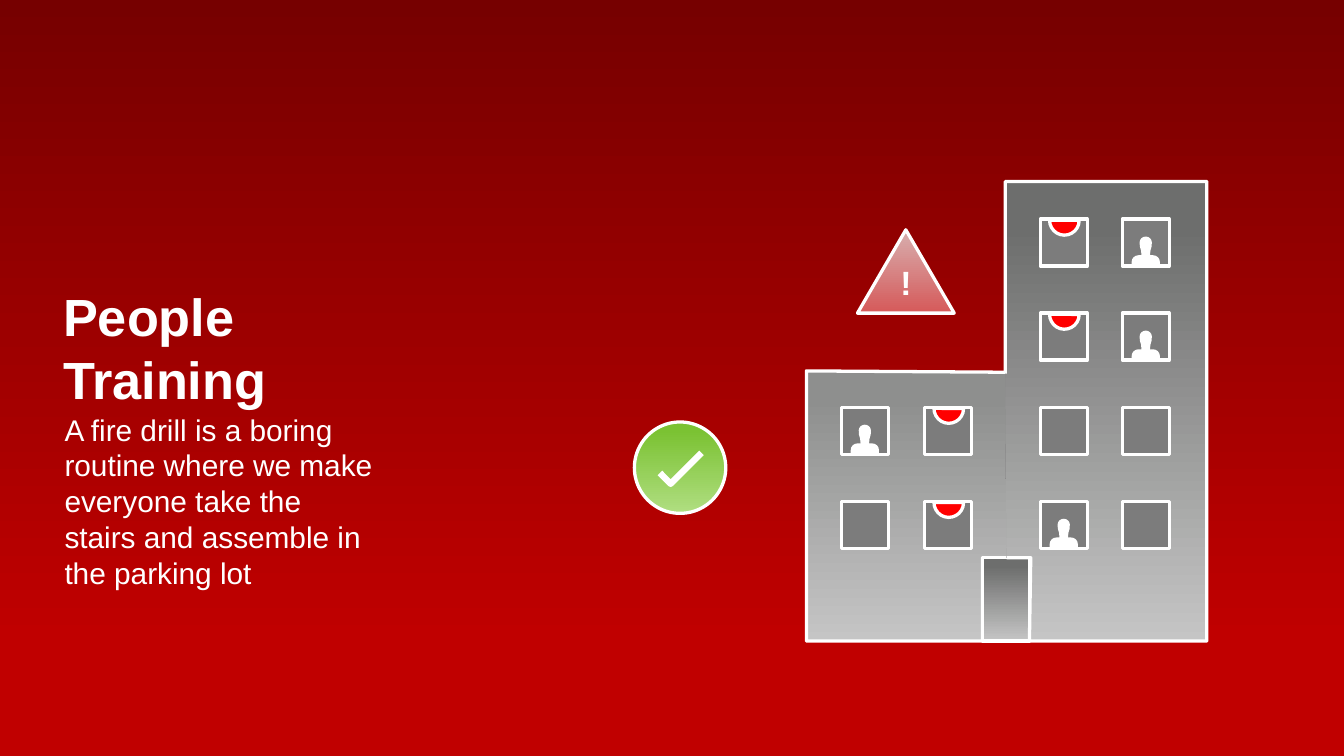
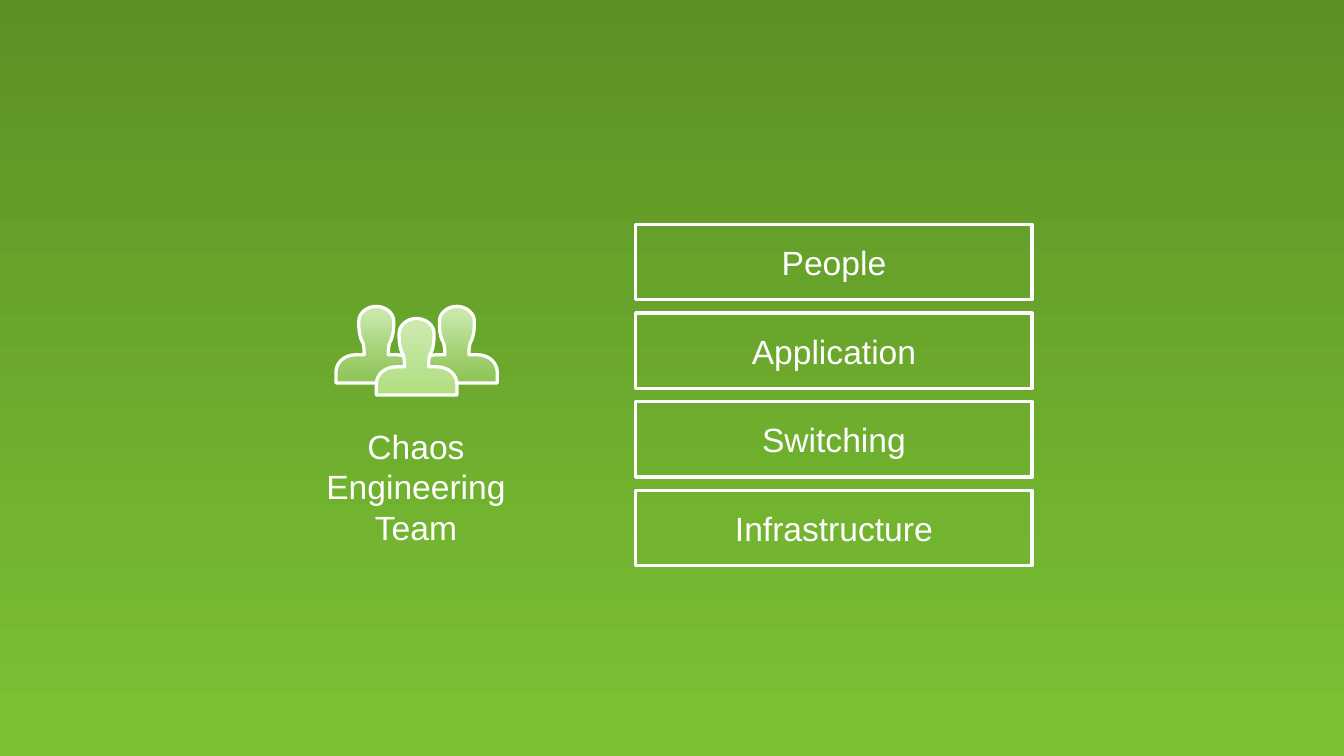
from pptx import Presentation
from pptx.dml.color import RGBColor
from pptx.enum.shapes import MSO_SHAPE
from pptx.enum.text import MSO_ANCHOR, MSO_AUTO_SIZE, PP_ALIGN
from pptx.oxml.ns import qn
from pptx.util import Inches, Pt
from lxml.etree import SubElement

WHITE = RGBColor(0xFF, 0xFF, 0xFF)
MAROON = RGBColor(0x76, 0x00, 0x00)
CRIMSON = RGBColor(0xC0, 0x00, 0x00)
FLAME = RGBColor(0xFF, 0x00, 0x00)
ROSE = RGBColor(0xD7, 0xA6, 0xA6)
CORAL = RGBColor(0xD6, 0x5A, 0x5A)
DARK = RGBColor(0x6D, 0x6E, 0x6D)
GLASS = RGBColor(0x7C, 0x7C, 0x7C)
STONE = RGBColor(0x8E, 0x8F, 0x8E)
SILVER = RGBColor(0xC5, 0xC5, 0xC5)
MOSS = RGBColor(0x5C, 0x91, 0x26)
GREEN = RGBColor(0x7B, 0xC2, 0x33)
LIME = RGBColor(0xB0, 0xDE, 0x81)
MINT = RGBColor(0xCA, 0xE9, 0xAB)

FONT = "Arial"
STROKE = 1.75
PANE = 0.35
ROWS = [1.63 + 0.7 * row for row in range(4)]

# Right half of a bust: a line has one point, a curve has three
BUST = [
    [(0.07, 0), (0.13, 0.05), (0.13, 0.11)],
    [(0.13, 0.16), (0.13, 0.22), (0.1, 0.27)],
    [(0.09, 0.3), (0.09, 0.33), (0.09, 0.36)],
    [(0.15, 0.36)],
    [(0.24, 0.36), (0.3, 0.42), (0.3, 0.49)],
    [(0.3, 0.57)],
]


# Fills and lines
def blend(fill, top, foot, start=10, end=100):
    """Vertical gradient from top to foot."""
    fill.gradient()
    fill.gradient_angle = 270
    for stop, color, place in zip(fill.gradient_stops, (top, foot), (start, end)):
        stop.color.rgb = color
        stop.position = place / 100


def paint(shape, fill=None, line=WHITE, width=STROKE):
    """Fill with nothing, one colour or a pair of colours, then set the line."""
    shape.shadow.inherit = False
    if fill is None:
        shape.fill.background()
    elif isinstance(fill, RGBColor):
        shape.fill.solid()
        shape.fill.fore_color.rgb = fill
    else:
        blend(shape.fill, *fill)
    if line is None:
        shape.line.fill.background()
    else:
        shape.line.color.rgb = line
        shape.line.width = Pt(width)
    return shape


def fade(shape, percent):
    """Make the last gradient stop partly clear."""
    stops = shape.element.spPr.find(qn("a:gradFill")).findall(".//" + qn("a:srgbClr"))
    SubElement(stops[-1], qn("a:alpha")).set("val", str(percent * 1000))


# Shapes
def add_form(slide, kind, x, y, w, h, fill=None):
    shape = slide.shapes.add_shape(kind, Inches(x), Inches(y), Inches(w), Inches(h))
    return paint(shape, fill)


def add_path(slide, points, close=False):
    spots = [(Inches(x), Inches(y)) for x, y in points]
    maker = slide.shapes.build_freeform(*spots[0])
    maker.add_line_segments(spots[1:], close=close)
    return maker.convert_to_shape()


def bend(shape, sizes):
    """Join each run of three line points into one cubic curve."""
    lines = iter(list(shape.element.spPr.iter(qn("a:lnTo"))))
    for size in sizes:
        group = [next(lines) for _ in range(size)]
        if size == 3:
            curve = group[0].makeelement(qn("a:cubicBezTo"))
            group[0].addprevious(curve)
            for line in group:
                curve.append(line[0])
                line.getparent().remove(line)


def add_bust(slide, x, y, w, h):
    half = [(0, 0)] + [point for part in BUST for point in part]
    full = half + [(-px, py) for px, py in reversed(half)]
    shape = add_path(slide, [(x + w / 2 + px * w / 0.6, y + py * h / 0.57)
                             for px, py in full], close=True)
    sizes = [len(part) for part in BUST]
    bend(shape, sizes + [1] + sizes[::-1])
    return shape


# Text
def write(frame, text, size, align=PP_ALIGN.CENTER, bold=False):
    frame.text = text
    para = frame.paragraphs[0]
    para.alignment = align
    para.line_spacing = 1.0
    para.space_before = Pt(0)
    para.font.name = FONT
    para.font.size = Pt(size)
    para.font.bold = bold
    para.font.color.rgb = WHITE
    return para


def set_holder(holder, text, x, y, w, h, size, anchor, bold=False):
    holder.left, holder.top = Inches(x), Inches(y)
    holder.width, holder.height = Inches(w), Inches(h)
    frame = holder.text_frame
    frame.auto_size = MSO_AUTO_SIZE.NONE
    frame.word_wrap = True
    frame.vertical_anchor = anchor
    return write(frame, text, size, PP_ALIGN.LEFT, bold)


def new_slide(deck, layout, top, foot, end):
    slide = deck.slides.add_slide(deck.slide_layouts[layout])
    blend(slide.background.fill, top, foot, 0, end)
    return slide


# Parts of the fire drill
def add_windows(slide, columns, top, plan):
    """Plan has one word a floor: F is fire, P a person, - an empty room."""
    for y, floor in zip(ROWS[top:], plan):
        for x, room in zip(columns, floor):
            add_form(slide, MSO_SHAPE.RECTANGLE, x, y, PANE, PANE, GLASS)
            if room == "F":
                fire = add_form(slide, MSO_SHAPE.CHORD, x + 0.07, y - 0.1,
                                0.22, 0.22, FLAME)
                fire.adjustments[0], fire.adjustments[1] = 26.07, 134.57
                fire.rotation = 316.4
            elif room == "P":
                paint(add_bust(slide, x + 0.07, y + 0.13, 0.21, 0.22), WHITE, None)


def add_house(slide):
    wing = [(7.49, 2.77), (6, 2.76), (6, 4.77), (7.31, 4.77), (7.31, 4.15), (7.49, 4.15)]
    tower = [(7.48, 2.78), (7.48, 1.35), (8.98, 1.35), (8.98, 4.77),
             (7.66, 4.77), (7.67, 4.15), (7.49, 4.15)]
    paint(add_path(slide, wing), (STONE, SILVER))
    add_form(slide, MSO_SHAPE.RECTANGLE, 7.31, 4.15, 0.35, 0.62, (DARK, SILVER))
    paint(add_path(slide, tower), (DARK, SILVER))
    add_windows(slide, (6.26, 6.88), 2, ("PF", "-F"))
    add_windows(slide, (7.74, 8.35), 0, ("FP", "FP", "--", "P-"))


def add_alert(slide):
    sign = add_form(slide, MSO_SHAPE.ISOSCELES_TRIANGLE, 6.38, 1.71, 0.72, 0.62,
                    (ROSE, CORAL))
    frame = sign.text_frame
    frame.vertical_anchor = MSO_ANCHOR.MIDDLE
    frame.margin_bottom = Inches(0.2)
    write(frame, "!", 18, bold=True)


def add_check(slide):
    add_form(slide, MSO_SHAPE.OVAL, 4.72, 3.14, 0.68, 0.68, (GREEN, LIME))
    tick = add_path(slide, [(5.22, 3.37), (4.99, 3.6), (4.91, 3.52)])
    paint(tick, width=3.5)


def drill_slide(deck):
    slide = new_slide(deck, 1, MAROON, CRIMSON, 85)
    title, body = slide.shapes.title, slide.placeholders[1]
    set_holder(title, "People\vTraining", 0.37, 1.59, 3.6, 1.54, 28,
               MSO_ANCHOR.BOTTOM, bold=True)
    title.text_frame.margin_bottom = Inches(0.08)
    para = set_holder(body, "A fire drill is a boring routine where we make everyone "
                      "take the stairs and assemble in the parking lot",
                      0.38, 3.01, 2.5, 1.54, 16, MSO_ANCHOR.TOP)
    props = para._p.get_or_add_pPr()
    props.set("marL", "0")
    props.set("indent", "0")
    props.insert_element_before(props.makeelement(qn("a:buNone")),
                                "a:tabLst", "a:defRPr", "a:extLst")
    add_house(slide)
    add_alert(slide)
    add_check(slide)


# Parts of the team slide
def add_team(slide):
    for x in (2.5, 3.1):
        fade(paint(add_bust(slide, x, 2.28, 0.6, 0.57), (MINT, LIME)), 50)
    paint(add_bust(slide, 2.8, 2.37, 0.6, 0.57), (MINT, LIME))
    label = slide.shapes.add_textbox(Inches(2.32), Inches(3.12), Inches(1.55), Inches(1.01))
    label.text_frame.word_wrap = False
    label.text_frame.auto_size = MSO_AUTO_SIZE.SHAPE_TO_FIT_TEXT
    write(label.text_frame, "Chaos\vEngineering\vTeam", 18)


def team_slide(deck):
    slide = new_slide(deck, 6, MOSS, GREEN, 100)
    layers = ("People", "Application", "Switching", "Infrastructure")
    for row, name in enumerate(layers):
        box = add_form(slide, MSO_SHAPE.RECTANGLE, 4.73, 1.67 + 0.66 * row, 2.95, 0.56)
        box.text_frame.vertical_anchor = MSO_ANCHOR.MIDDLE
        write(box.text_frame, name, 18)
    add_team(slide)


def main():
    deck = Presentation()
    deck.slide_width = Inches(10)
    deck.slide_height = Inches(10) * 9 // 16
    drill_slide(deck)
    team_slide(deck)
    deck.save("out.pptx")


if __name__ == "__main__":
    main()
